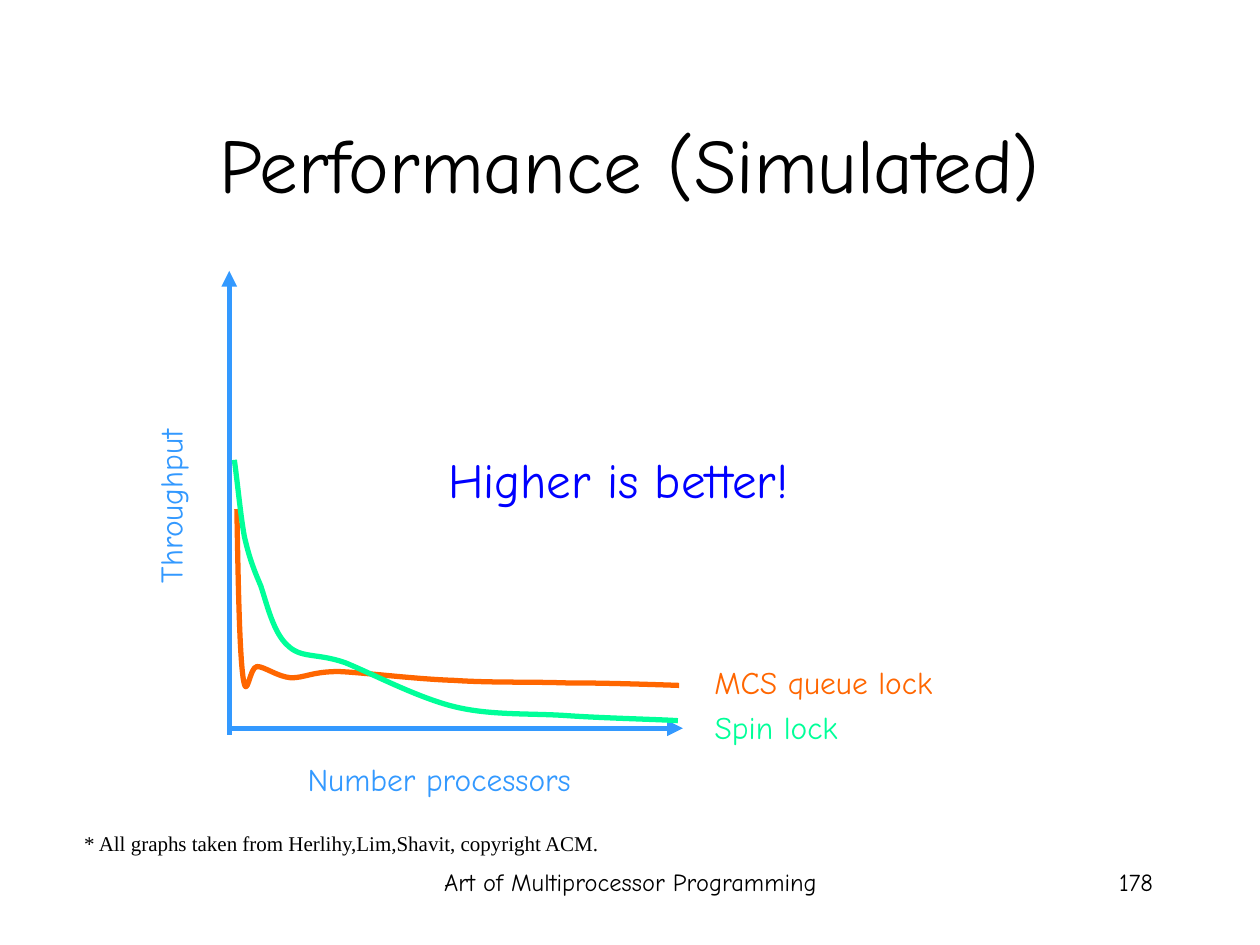
from pptx import Presentation
from pptx.dml.color import RGBColor
from pptx.enum.shapes import MSO_CONNECTOR
from pptx.enum.text import MSO_ANCHOR, MSO_AUTO_SIZE, PP_ALIGN
from pptx.oxml.ns import qn
from pptx.oxml.xmlchemy import OxmlElement
from pptx.util import Inches, Pt

STRAIGHT = MSO_CONNECTOR.STRAIGHT
TOP, MIDDLE = MSO_ANCHOR.TOP, MSO_ANCHOR.MIDDLE
LEFT, CENTER, RIGHT = PP_ALIGN.LEFT, PP_ALIGN.CENTER, PP_ALIGN.RIGHT
NO_FIT, GROW = MSO_AUTO_SIZE.NONE, MSO_AUTO_SIZE.SHAPE_TO_FIT_TEXT

BLACK = RGBColor(0x00, 0x00, 0x00)
AXIS_BLUE = RGBColor(0x33, 0x99, 0xFF)
NOTE_BLUE = RGBColor(0x00, 0x00, 0xFF)
ORANGE = RGBColor(0xFF, 0x66, 0x00)
GREEN = RGBColor(0x00, 0xFF, 0x99)
COMIC, TIMES = "Comic Neue", "Times New Roman"
LINE_WIDTH = Pt(3)

presentation = Presentation()
presentation.slide_width = Inches(10)
presentation.slide_height = Inches(7.5)
COLUMN = presentation.slide_width / 100
ROW = presentation.slide_height / 75
slide = presentation.slides.add_slide(presentation.slide_layouts[5])


def grid(column, row):
    return round(column * COLUMN), round(row * ROW)


def write_text(text, box, shape=None, size=18, color=BLACK, font=COMIC,
               align=CENTER, anchor=TOP, wrap=False, rotation=0):
    shape = shape or slide.shapes.add_textbox(0, 0, 0, 0)
    shape.left, shape.top = grid(*box[:2])
    shape.width, shape.height = grid(*box[2:])
    shape.rotation = rotation
    frame = shape.text_frame
    frame.word_wrap = wrap
    frame.auto_size = NO_FIT if wrap else GROW
    frame.vertical_anchor = anchor
    paragraph = frame.paragraphs[0]
    paragraph.alignment = align
    run = paragraph.add_run()
    run.text = text
    run.font.name = font
    run.font.size = Pt(size)
    run.font.color.rgb = color


write_text("Performance (Simulated)", (7.5, 6.7, 85, 12.5),
           shape=slide.shapes.title, size=44, anchor=MIDDLE, wrap=True)
write_text("* All graphs taken from Herlihy,Lim,Shavit, copyright ACM.",
           (5.7, 65.4, 43.5, 3), size=12, font=TIMES, align=LEFT)

axes = [((18.2, 58.3), (18.2, 21.5)), ((18.1, 57.8), (54.2, 57.8))]
for start, end in axes:
    axis = slide.shapes.add_connector(STRAIGHT, *grid(*start), *grid(*end))
    axis.line.color.rgb = AXIS_BLUE
    axis.line.width = LINE_WIDTH
    arrowhead = OxmlElement("a:tailEnd")
    arrowhead.set("type", "triangle")
    axis.line._get_or_add_ln().append(arrowhead)
    axis.element.spPr.append(OxmlElement("a:effectLst"))

queue_lock_points = [
    (18.8, 40.4),
    (18.9, 46), (19, 51.7), (19.3, 53.8),
    (19.6, 55.8), (19.8, 52.9), (20.4, 52.9),
    (21, 52.9), (22, 53.7), (23.1, 53.8),
    (24.2, 53.8), (24.8, 53.3), (26.9, 53.3),
    (29.1, 53.4), (33, 53.9), (36, 54),
    (39, 54.2), (41.9, 54.1), (44.9, 54.2),
    (47.8, 54.2), (50.9, 54.3), (53.9, 54.4),
]
spin_lock_points = [
    (18.6, 36.5),
    (18.9, 38.7), (19.1, 41), (19.4, 42.6),
    (19.8, 44.3), (20.1, 45.1), (20.7, 46.5),
    (21.2, 48), (21.7, 50.2), (22.8, 51.2),
    (23.9, 52.3), (25.1, 51.8), (27.4, 52.6),
    (29.6, 53.5), (33.2, 55.4), (36.1, 56.1),
    (39, 56.8), (42.1, 56.6), (45, 56.8),
    (47.9, 57), (52.3, 57.1), (53.8, 57.2),
]
for points, color in [(queue_lock_points, ORANGE), (spin_lock_points, GREEN)]:
    start, *controls = [grid(*point) for point in points]
    builder = slide.shapes.build_freeform(*start)
    builder.add_line_segments(controls, close=False)
    curve = builder.convert_to_shape()
    curve.shadow.inherit = False
    curve.fill.background()
    curve.line.color.rgb = color
    curve.line.width = LINE_WIDTH
    segments = curve.element.findall(".//" + qn("a:lnTo"))
    for first in range(0, len(segments), 3):
        bezier = OxmlElement("a:cubicBezTo")
        segments[first].addprevious(bezier)
        for segment in segments[first:first + 3]:
            bezier.append(segment[0])
            segment.getparent().remove(segment)

write_text("MCS queue lock", (55.7, 52.1, 19.3, 4), color=ORANGE)
write_text("Spin lock", (55.7, 55.7, 11.8, 4), color=GREEN)
write_text("Number processors", (23.4, 59.8, 22.9, 4), color=AXIS_BLUE)
write_text("Throughput", (6.4, 38.2, 14.2, 4), color=AXIS_BLUE, rotation=270)
write_text("Higher is better!", (34.5, 35.2, 29.1, 5.7), size=28, color=NOTE_BLUE)
write_text("Art of Multiprocessor Programming", (34.2, 68.3, 31.7, 5),
           size=14, wrap=True)
write_text("178", (71.7, 68.3, 20.8, 5), size=14, align=RIGHT, wrap=True)

presentation.save("out.pptx")
